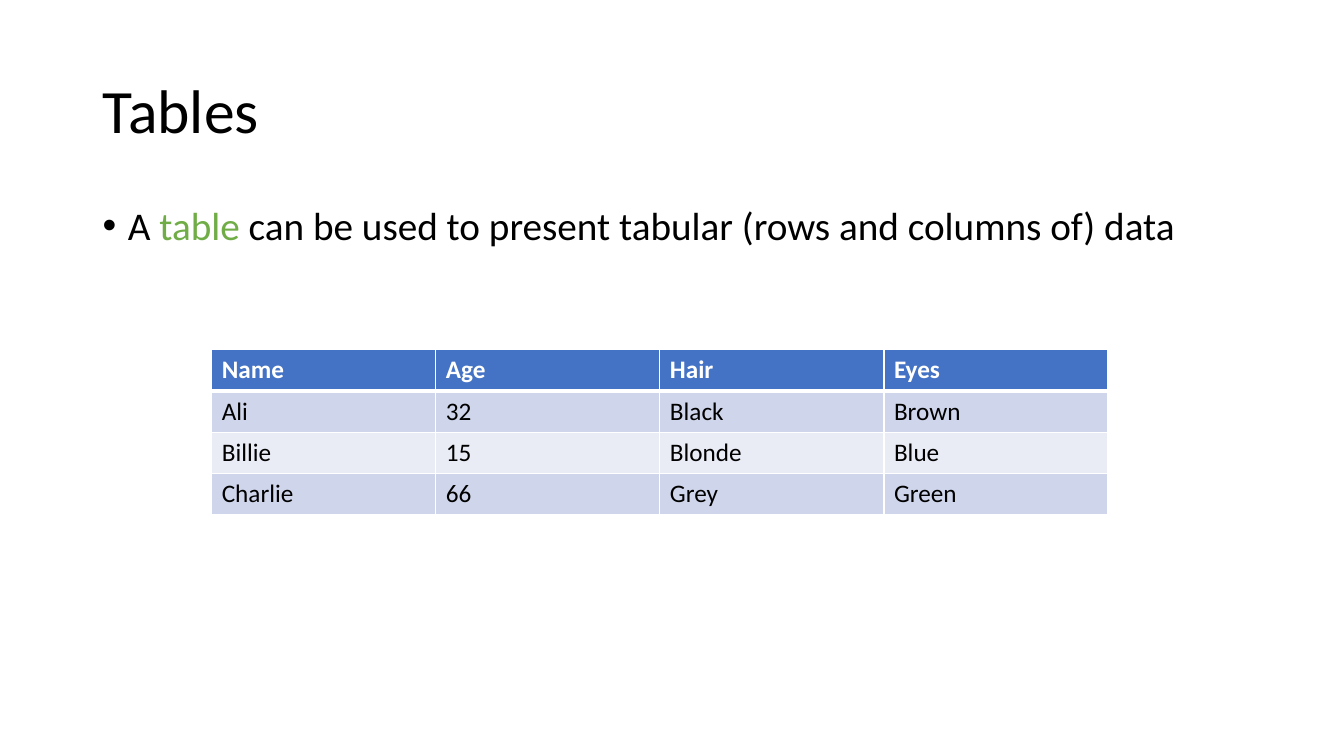
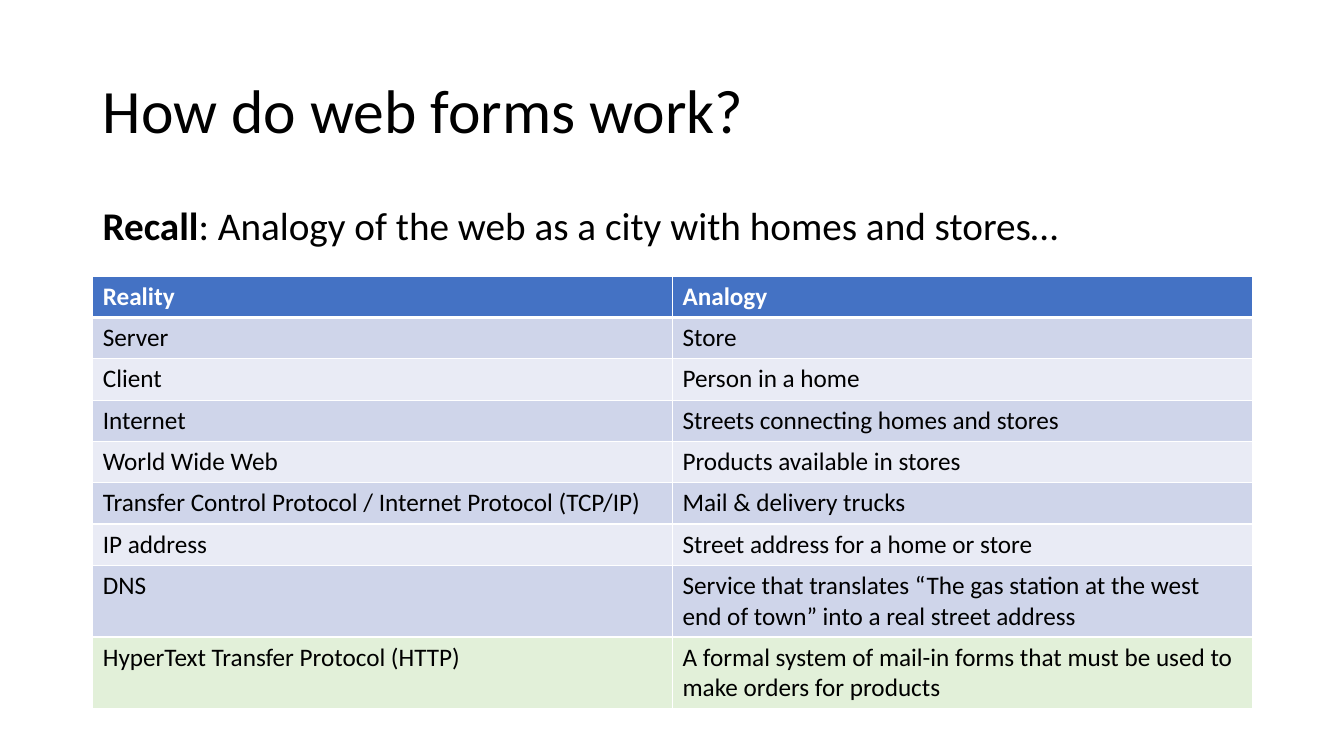
"""Build two slides that explain tables and the web-as-a-city analogy."""
from dataclasses import dataclass

import lxml.etree
import pptx
import pptx.dml.color
import pptx.enum.text
import pptx.oxml.ns
import pptx.util

Inches = pptx.util.Inches
Pt = pptx.util.Pt
RGBColor = pptx.dml.color.RGBColor
qn = pptx.oxml.ns.qn

BLACK = RGBColor(0x00, 0x00, 0x00)
WHITE = RGBColor(0xFF, 0xFF, 0xFF)
GREEN = RGBColor(0x70, 0xAD, 0x47)
HEADER_BLUE = RGBColor(0x44, 0x72, 0xC4)
BAND_DARK = RGBColor(0xCF, 0xD5, 0xEA)
BAND_LIGHT = RGBColor(0xE9, 0xEB, 0xF5)
PALE_GREEN = RGBColor(0xE2, 0xF0, 0xD9)

FONT = "Calibri"
TITLE_ONLY = 5
LEFT = 0.92
CONTENT_WIDTH = 11.5
ROW_HEIGHT = 0.41
TALL_ROW_HEIGHT = 0.7


@dataclass(frozen=True)
class Span:
    text: str
    color: RGBColor = BLACK
    bold: bool = False


@dataclass(frozen=True)
class Grid:
    left: float
    top: float
    width: float
    rows: tuple[tuple[str, ...], ...]
    tall_rows: tuple[int, ...] = ()
    highlighted_rows: tuple[int, ...] = ()


@dataclass(frozen=True)
class Page:
    title: str
    lead: tuple[Span, ...]
    bulleted: bool
    grid: Grid


PAGES = (
    Page(
        title="Tables",
        lead=(
            Span("A "),
            Span("table ", GREEN),
            Span("can be used to present tabular (rows and columns of) data"),
        ),
        bulleted=True,
        grid=Grid(
            left=2.1,
            top=3.47,
            width=8.89,
            rows=(
                ("Name", "Age", "Hair", "Eyes"),
                ("Ali", "32", "Black", "Brown"),
                ("Billie", "15", "Blonde", "Blue"),
                ("Charlie", "66", "Grey", "Green"),
            ),
        ),
    ),
    Page(
        title="How do web forms work?",
        lead=(
            Span("Recall", bold=True),
            Span(": Analogy of the web as a city with homes and stores…"),
        ),
        bulleted=False,
        grid=Grid(
            left=LEFT,
            top=2.74,
            width=CONTENT_WIDTH,
            rows=(
                ("Reality", "Analogy"),
                ("Server", "Store"),
                ("Client", "Person in a home"),
                ("Internet", "Streets connecting homes and stores"),
                ("World Wide Web", "Products available in stores"),
                ("Transfer Control Protocol / Internet Protocol (TCP/IP)", "Mail & delivery trucks"),
                ("IP address", "Street address for a home or store"),
                (
                    "DNS",
                    "Service that translates “The gas station at the west end of town” "
                    "into a real street address",
                ),
                (
                    "HyperText Transfer Protocol (HTTP)",
                    "A formal system of mail-in forms that must be used to make orders for products",
                ),
            ),
            tall_rows=(7, 8),
            highlighted_rows=(8,),
        ),
    ),
)


def set_font(font: pptx.text.text.Font, size: int, color: RGBColor, bold: bool = False) -> None:
    """Apply the deck's typeface with a size, colour and weight."""
    font.name = FONT
    font.size = Pt(size)
    font.color.rgb = color
    font.bold = bold


def set_title(slide: pptx.slide.Slide, text: str) -> None:
    """Place and format the title placeholder."""
    title = slide.shapes.title
    title.left, title.top = Inches(LEFT), Inches(0.4)
    title.width, title.height = Inches(CONTENT_WIDTH), Inches(1.45)
    frame = title.text_frame
    frame.text = text
    frame.vertical_anchor = pptx.enum.text.MSO_ANCHOR.MIDDLE
    para = frame.paragraphs[0]
    para.alignment = pptx.enum.text.PP_ALIGN.LEFT
    para.line_spacing = 0.9
    set_font(para.font, 44, BLACK)


def add_bullet(para: pptx.text.text._Paragraph) -> None:
    """Give a paragraph a round bullet with a hanging indent."""
    properties = para._p.get_or_add_pPr()
    properties.set("marL", str(Inches(0.25)))
    properties.set("indent", str(-Inches(0.25)))
    lxml.etree.SubElement(properties, qn("a:buFont"), typeface="Arial")
    lxml.etree.SubElement(properties, qn("a:buChar"), char="•")


def add_lead(slide: pptx.slide.Slide, spans: tuple[Span, ...], bulleted: bool) -> None:
    """Add the sentence below the title."""
    box = slide.shapes.add_textbox(Inches(LEFT), Inches(2), Inches(CONTENT_WIDTH), Inches(4.76))
    box.text_frame.word_wrap = True
    para = box.text_frame.paragraphs[0]
    para.line_spacing = 0.9
    para.space_before = Pt(10)
    if bulleted:
        add_bullet(para)
    for span in spans:
        run = para.add_run()
        run.text = span.text
        set_font(run.font, 28, span.color, span.bold)


def set_borders(cell: pptx.table._Cell, row_index: int) -> None:
    """Draw white cell borders, thicker between the header and the body."""
    top = 3 if row_index == 1 else 1
    bottom = 3 if row_index == 0 else 1
    properties = cell._tc.get_or_add_tcPr()
    sides = (("a:lnL", 1), ("a:lnR", 1), ("a:lnT", top), ("a:lnB", bottom))
    for position, (tag, width) in enumerate(sides):
        line = lxml.etree.Element(qn(tag), w=str(Pt(width)))
        fill = lxml.etree.SubElement(line, qn("a:solidFill"))
        lxml.etree.SubElement(fill, qn("a:srgbClr"), val=str(WHITE))
        properties.insert(position, line)


def row_fill(grid: Grid, row_index: int) -> RGBColor:
    """Choose the fill of a table row."""
    if row_index == 0:
        return HEADER_BLUE
    if row_index in grid.highlighted_rows:
        return PALE_GREEN
    return BAND_DARK if row_index % 2 else BAND_LIGHT


def add_grid(slide: pptx.slide.Slide, grid: Grid) -> None:
    """Add a banded table with equal columns."""
    heights = [
        TALL_ROW_HEIGHT if index in grid.tall_rows else ROW_HEIGHT
        for index in range(len(grid.rows))
    ]
    column_count = len(grid.rows[0])
    table = slide.shapes.add_table(
        len(grid.rows), column_count,
        Inches(grid.left), Inches(grid.top), Inches(grid.width), Inches(sum(heights)),
    ).table
    for column in table.columns:
        column.width = Inches(grid.width / column_count)
    for row_index, texts in enumerate(grid.rows):
        table.rows[row_index].height = Inches(heights[row_index])
        is_header = row_index == 0
        for column_index, text in enumerate(texts):
            cell = table.cell(row_index, column_index)
            cell.text = text
            cell.fill.solid()
            cell.fill.fore_color.rgb = row_fill(grid, row_index)
            set_borders(cell, row_index)
            color = WHITE if is_header else BLACK
            set_font(cell.text_frame.paragraphs[0].font, 18, color, is_header)


def main() -> None:
    """Build and save the deck."""
    deck = pptx.Presentation()
    deck.slide_width, deck.slide_height = Inches(13.33), Inches(7.5)
    for page in PAGES:
        slide = deck.slides.add_slide(deck.slide_layouts[TITLE_ONLY])
        set_title(slide, page.title)
        add_grid(slide, page.grid)
        add_lead(slide, page.lead, page.bulleted)
    deck.save("out.pptx")


if __name__ == "__main__":
    main()
